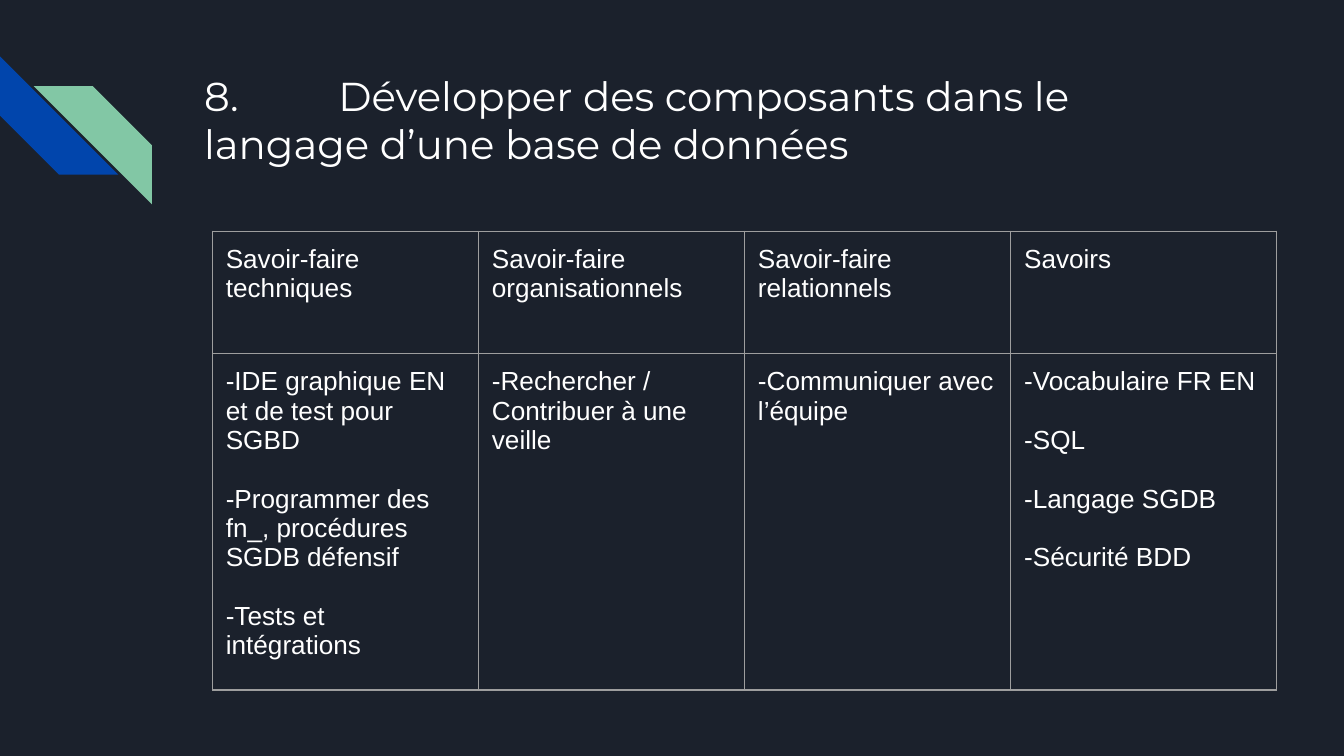
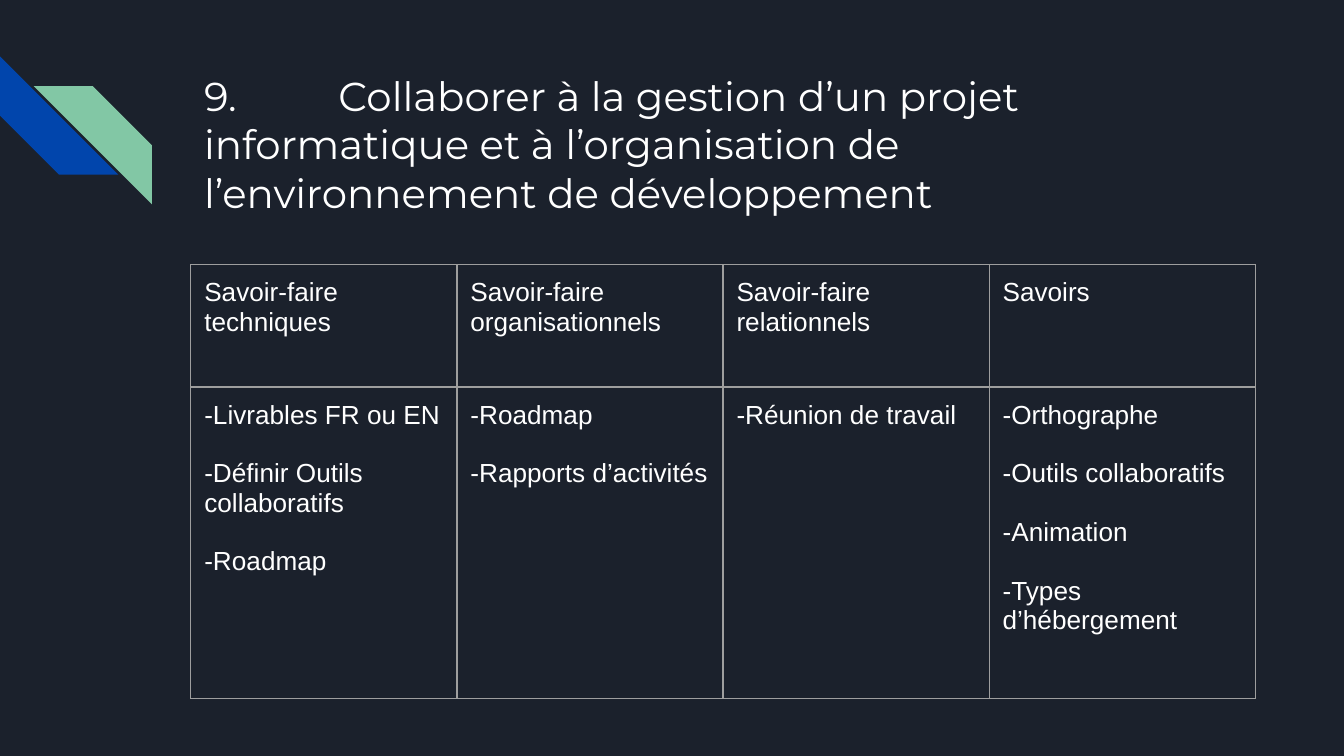
from lxml.etree import SubElement
from pptx import Presentation
from pptx.dml.color import RGBColor
from pptx.enum.shapes import MSO_SHAPE
from pptx.oxml.ns import qn
from pptx.util import Inches, Pt

COLORS = {
    "background": "1B212C",
    "blue": "0145AC",
    "green": "82C7A5",
    "text": "FFFFFF",
    "border": "9E9E9E",
}

HEADERS = [
    "Savoir-faire techniques",
    "Savoir-faire organisationnels",
    "Savoir-faire relationnels",
    "Savoirs",
]

SKILLS = [
    {
        "title": "8.\tDévelopper des composants dans le langage d’une base de données",
        "table_at": (1.58, 1.72),
        "columns": [
            [
                "-IDE graphique EN et de test pour SGBD",
                "-Programmer des fn_, procédures SGDB défensif",
                "-Tests et intégrations",
            ],
            ["-Rechercher / Contribuer à une veille"],
            ["-Communiquer avec l’équipe"],
            ["-Vocabulaire FR EN", "-SQL", "-Langage SGDB", "-Sécurité BDD"],
        ],
    },
    {
        "title": "9.\tCollaborer à la gestion d’un projet informatique et à "
                 "l’organisation de l’environnement de développement",
        "table_at": (1.42, 1.97),
        "columns": [
            ["-Livrables FR ou EN", "-Définir Outils collaboratifs", "-Roadmap"],
            ["-Roadmap", "-Rapports d’activités"],
            ["-Réunion de travail"],
            [
                "-Orthographe",
                "-Outils collaboratifs",
                "-Animation",
                "-Types d’hébergement",
            ],
        ],
    },
]

STRIPES = [("blue", 0, 0.42, 270), ("green", 0.25, 0.64, 90)]
STRIPE_SIZE = 0.88
COLUMN_WIDTH = 1.98
ROW_HEIGHTS = [0.91, 2.32]
FRAME_SIZE = 3.28
MARGIN = Inches(0.1)


def color(name):
    return RGBColor.from_string(COLORS[name])


def style_text(frame, font_name, size):
    for index, para in enumerate(frame.paragraphs):
        if index:
            para.space_before = Pt(15.7)
        for span in para.runs:
            span.font.name = font_name
            span.font.size = Pt(size)
            span.font.color.rgb = color("text")
        SubElement(para._p, qn("a:endParaRPr"), sz=str(round(size * 100)))


def set_margins(target):
    target.margin_left = target.margin_right = MARGIN
    target.margin_top = target.margin_bottom = MARGIN


def add_stripes(page):
    for name, left, top, angle in STRIPES:
        stripe = page.shapes.add_shape(
            MSO_SHAPE.DIAGONAL_STRIPE, Inches(left), Inches(top),
            Inches(STRIPE_SIZE), Inches(STRIPE_SIZE))
        stripe.rotation = angle
        stripe.shadow.inherit = False
        stripe.fill.solid()
        stripe.fill.fore_color.rgb = color(name)
        stripe.line.fill.background()


def add_title(page, title):
    box = page.shapes.add_textbox(Inches(1.42), Inches(0.43), Inches(7.7), Inches(1))
    frame = box.text_frame
    frame.word_wrap = True
    set_margins(frame)
    frame.text = title
    properties = frame.paragraphs[0]._p.get_or_add_pPr()
    tabs = SubElement(properties, qn("a:tabLst"))
    SubElement(tabs, qn("a:tab"), pos=str(Inches(1)), algn="l")
    style_text(frame, "Montserrat", 21.6)


def add_borders(cell):
    properties = cell._tc.get_or_add_tcPr()
    for side in ("lnL", "lnR", "lnT", "lnB"):
        line = SubElement(properties, qn(f"a:{side}"), w=str(Pt(0.75)))
        fill = SubElement(line, qn("a:solidFill"))
        SubElement(fill, qn("a:srgbClr"), val=COLORS["border"])


def add_skill_table(page, position, columns):
    left, top = position
    holder = page.shapes.add_table(
        len(ROW_HEIGHTS), len(HEADERS), Inches(left), Inches(top),
        Inches(FRAME_SIZE), Inches(FRAME_SIZE))
    table = holder.table
    table.first_row = False
    table.horz_banding = False
    for row, height in zip(table.rows, ROW_HEIGHTS):
        row.height = Inches(height)
    for index, (header, items) in enumerate(zip(HEADERS, columns)):
        table.columns[index].width = Inches(COLUMN_WIDTH)
        for row_index, lines in enumerate([[header], items]):
            cell = table.cell(row_index, index)
            set_margins(cell)
            add_borders(cell)
            cell.fill.background()
            cell.text_frame.text = "\n".join(lines)
            style_text(cell.text_frame, "Arial", 14)
    holder.width = holder.height = Inches(FRAME_SIZE)


def main():
    deck = Presentation()
    deck.slide_width = Inches(10)
    deck.slide_height = deck.slide_width * 9 // 16
    for skill in SKILLS:
        page = deck.slides.add_slide(deck.slide_layouts[6])
        page.background.fill.solid()
        page.background.fill.fore_color.rgb = color("background")
        add_stripes(page)
        add_title(page, skill["title"])
        add_skill_table(page, skill["table_at"], skill["columns"])
    deck.save("out.pptx")


if __name__ == "__main__":
    main()
